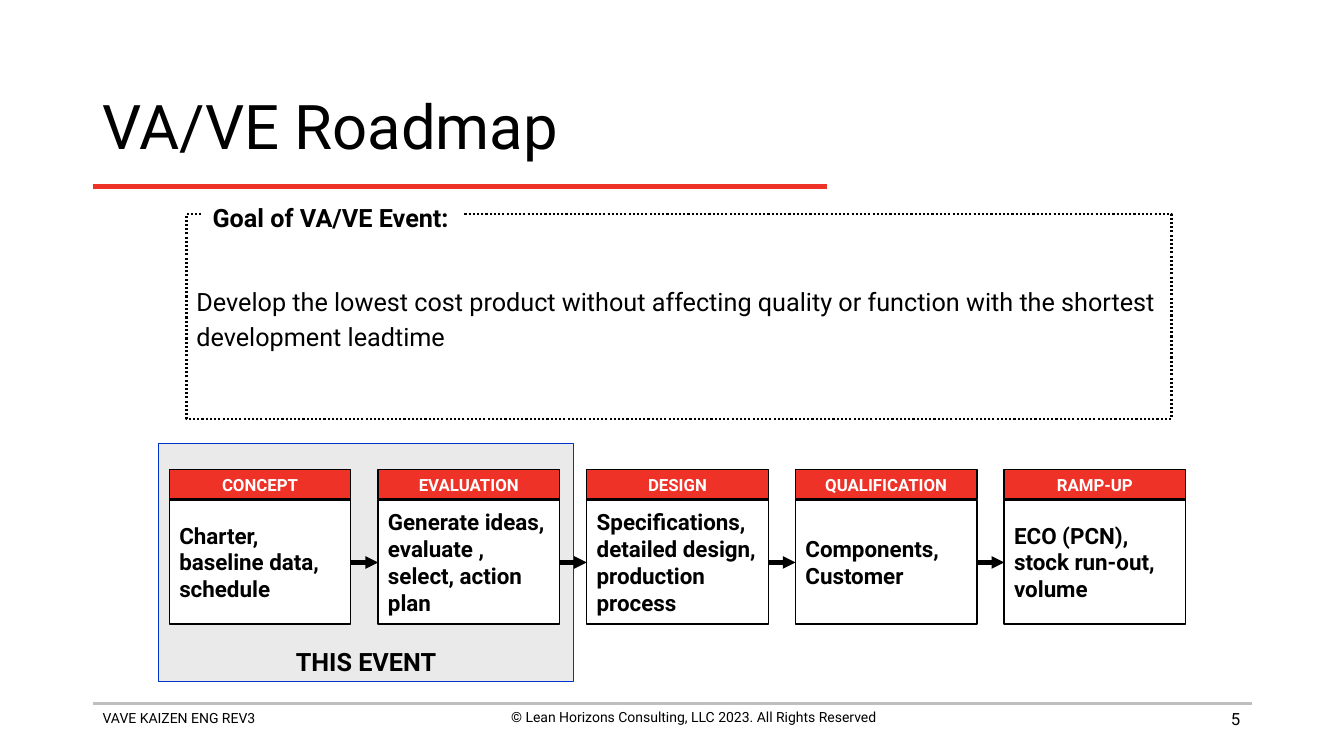
from lxml import etree
from pptx import Presentation
from pptx import util as u
from pptx.dml.color import RGBColor
from pptx.enum import dml, shapes, text
from pptx.oxml.ns import qn

PX = 9144  # 100 px to the inch
HUES = {"ink": "000000", "paper": "FFFFFF", "red": "EE3228",
        "rule": "BFBFBF", "gray": "EAEAEA", "blue": "0033CC"}
LEFT, MID, RIGHT = text.PP_ALIGN.LEFT, text.PP_ALIGN.CENTER, text.PP_ALIGN.RIGHT
TOP, HALF, BASE = (text.MSO_ANCHOR.TOP, text.MSO_ANCHOR.MIDDLE,
                   text.MSO_ANCHOR.BOTTOM)

STAGES = [
    ("CONCEPT", "Charter, baseline data, schedule"),
    ("EVALUATION", "Generate ideas, evaluate , select, action plan"),
    ("DESIGN", "Specifications, detailed design, production process"),
    ("QUALIFICATION", "Components, Customer"),
    ("RAMP-UP", "ECO (PCN), stock run-out, volume"),
]


class Deck:
    def __init__(self, wide, high, font):
        self.show = Presentation()
        self.show.slide_width, self.show.slide_height = wide * PX, high * PX
        self.slide = self.show.slides.add_slide(self.show.slide_layouts[6])
        self.font = font

    def hue(self, name):
        return RGBColor.from_string(HUES[name])

    def letter(self, shape, words, size, hue="ink", bold=False, align=LEFT,
               anchor=HALF, wrap=True, lead=None):
        """Put styled words into a shape."""
        frame = shape.text_frame
        frame.word_wrap = wrap
        frame.vertical_anchor = anchor
        para = frame.paragraphs[0]
        para.text = words
        para.alignment = align
        para.line_spacing = lead
        para.font.name, para.font.size = self.font, u.Pt(size)
        para.font.bold = bold
        para.font.color.rgb = self.hue(hue)

    def label(self, box, words, size, **style):
        shape = self.slide.shapes.add_textbox(*(n * PX for n in box))
        self.letter(shape, words, size, **style)

    def rect(self, box, words, size, fill=None, edge=None, width=1,
             dash=None, **style):
        shape = self.slide.shapes.add_shape(
            shapes.MSO_SHAPE.RECTANGLE, *(n * PX for n in box))
        shape.shadow.inherit = False
        if fill:
            shape.fill.solid()
            shape.fill.fore_color.rgb = self.hue(fill)
        else:
            shape.fill.background()
        if edge:
            shape.line.color.rgb = self.hue(edge)
            shape.line.width = u.Pt(width)
            shape.line.dash_style = dash
        else:
            shape.line.fill.background()
        self.letter(shape, words, size, **style)

    def line(self, left, right, y, hue, width, arrow=False):
        line = self.slide.shapes.add_connector(
            shapes.MSO_CONNECTOR.STRAIGHT, left * PX, y * PX, right * PX, y * PX)
        line.line.color.rgb = self.hue(hue)
        line.line.width = u.Pt(width)
        props = line._element.spPr
        if arrow:
            etree.SubElement(props.find(qn("a:ln")), qn("a:tailEnd"),
                             type="triangle")
        etree.SubElement(props, qn("a:effectLst"))

    def stage(self, x, y, wide, head, body):
        self.rect((x, y + 30, wide, 123), body, 16, fill="paper", edge="ink",
                  bold=True)
        self.rect((x, y, wide, 29), head, 12, fill="red", edge="ink",
                  hue="paper", bold=True, align=MID, wrap=False)


def main():
    deck = Deck(1333, 750, "Roboto")

    deck.line(92, 1242, 698, "rule", 2)
    deck.label((92, 699, 456, 27), "VAVE KAIZEN ENG REV3", 10, anchor=TOP)
    deck.label((460, 698, 456, 44),
               "© Lean Horizons Consulting, LLC 2023. All Rights Reserved",
               10, align=MID, anchor=TOP)
    deck.label((940, 693, 300, 40), "5", 12, align=RIGHT)

    deck.line(92, 820, 185, "red", 3)
    deck.label((92, 74, 1150, 110), "VA/VE Roadmap", 44, lead=0.9)

    deck.rect((157, 440, 412, 236), "THIS EVENT", 18, fill="gray", edge="blue",
              bold=True, align=MID, anchor=BASE, wrap=False)
    first, wide, step = 168, 180, 207
    for i, (head, body) in enumerate(STAGES):
        x = first + i * step
        if i:
            deck.line(x - step + wide, x, 558, "ink", 3, arrow=True)
        deck.stage(x, 466, wide, head, body)

    deck.rect((185, 212, 977, 204),
              "Develop the lowest cost product without affecting quality or "
              "function with the shortest development leadtime",
              18, edge="ink", width=1.5, dash=dml.MSO_LINE.ROUND_DOT, lead=1.15)
    deck.rect((201, 196, 258, 39), "Goal of VA/VE Event:", 18, fill="paper",
              bold=True, anchor=TOP, wrap=False)

    deck.show.save("out.pptx")


if __name__ == "__main__":
    main()
